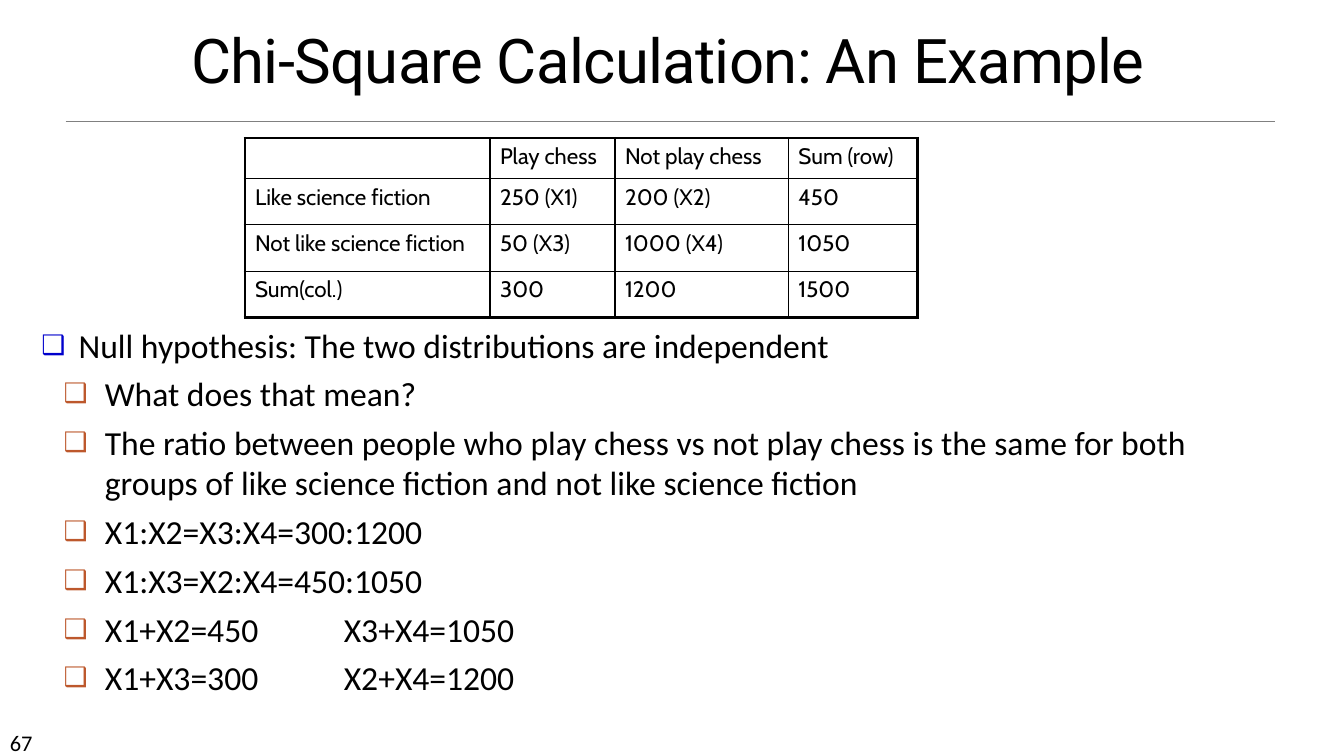
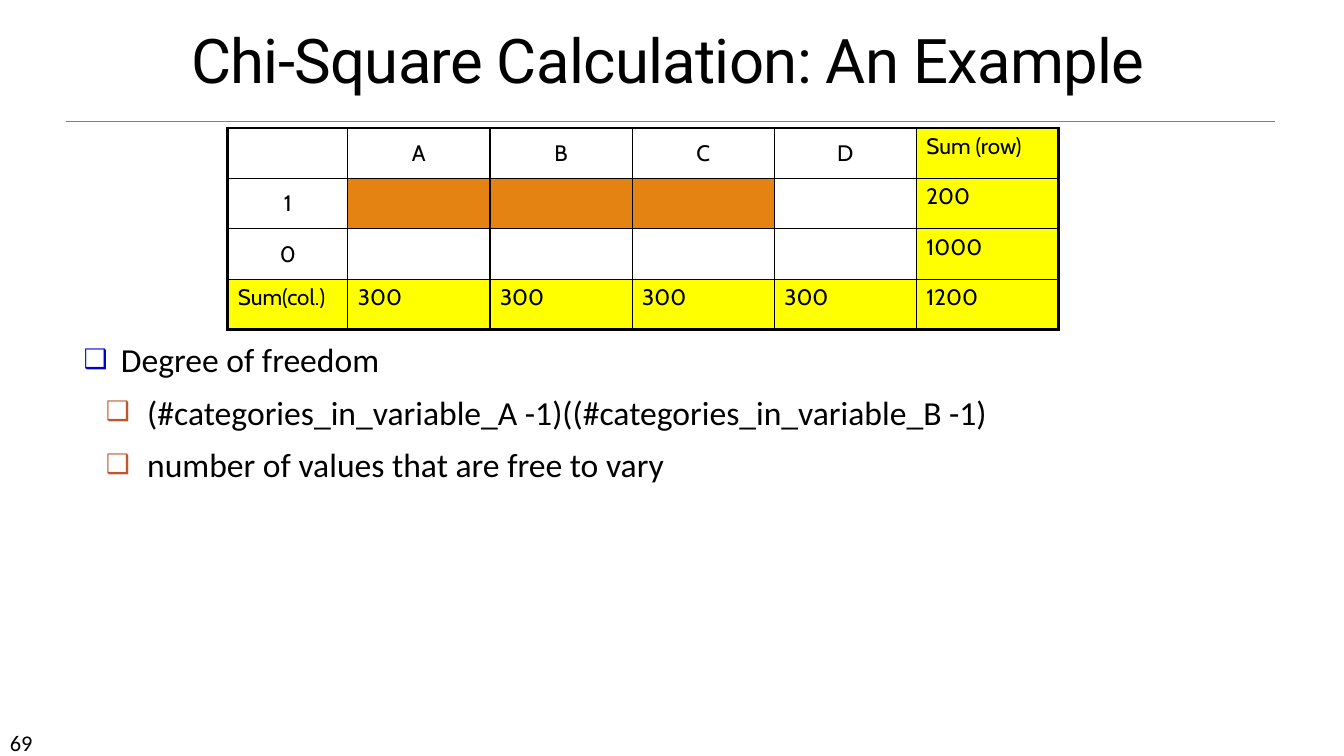
import pptx
import pptx.dml.color
import pptx.enum.shapes
import pptx.enum.text
import pptx.oxml.ns
import pptx.util
from dataclasses import dataclass
from lxml import etree

Inches, Pt = pptx.util.Inches, pptx.util.Pt
qn = pptx.oxml.ns.qn
Align, Anchor = pptx.enum.text.PP_ALIGN, pptx.enum.text.MSO_ANCHOR

# Content
TITLE = "Chi-Square Calculation: An Example"
SLIDES = [
    {
        "number": "67",
        "table_at": (2.43, 1.37),
        "columns": [2.43, 1.24, 1.72, 1.28],
        "rows": [0.38, 0.46, 0.46, 0.46],
        "cells": [
            ["", "Play chess", "Not play chess", "Sum (row)"],
            ["Like science fiction", "250 (X1)", "200 (X2)", "450"],
            ["Not like science fiction", "50 (X3)", "1000 (X4)", "1050"],
            ["Sum(col.)", "300", "1200", "1500"],
        ],
        "mark_sums": False,
        "free_cells": [],
        "points_at": (0.31, 3.17, 12.18, 3.69),
        "line_spacing": 1.0,
        "points": [
            (0, "Null hypothesis: The two distributions are independent"),
            (1, "What does that mean?"),
            (1, "The ratio between people who play chess vs not play chess is the same "
                "for both groups of like science fiction and not like science fiction"),
            (1, "X1:X2=X3:X4=300:1200"),
            (1, "X1:X3=X2:X4=450:1050"),
            (1, "X1+X2=450\tX3+X4=1050"),
            (1, "X1+X3=300\tX2+X4=1200"),
        ],
    },
    {
        "number": "69",
        "table_at": (2.26, 1.27),
        "columns": [1.19] + [1.41] * 5,
        "rows": [0.5] * 4,
        "cells": [
            ["", "A", "B", "C", "D", "Sum (row)"],
            ["1", "", "", "", "", "200"],
            ["0", "", "", "", "", "1000"],
            ["Sum(col.)", "300", "300", "300", "300", "1200"],
        ],
        "mark_sums": True,
        "free_cells": [(1, 1), (1, 2), (1, 3)],
        "points_at": (0.73, 3.27, 10.2, 3.51),
        "line_spacing": 1.1,
        "points": [
            (0, "Degree of freedom"),
            (1, "(#categories_in_variable_A -1)((#categories_in_variable_B -1)"),
            (1, "number of values that are free to vary"),
        ],
    },
]


# Theme
@dataclass(frozen=True)
class Theme:
    ink: str = "000000"
    paper: str = "FFFFFF"
    rule: str = "808080"
    sums: str = "FFFF00"
    free: str = "E48312"
    bullets: tuple = ("0000CC", "BD582C")
    indents: tuple = ((0.37, -0.37), (0.63, -0.41))
    title: tuple = ("Roboto", 44)
    body: tuple = ("Calibri", 24)
    number: tuple = ("Calibri", 16)
    cell: tuple = ("Cabin", 16)
    thin: float = 1
    thick: float = 2.25


THEME = Theme()


# Helpers
def rgb(value):
    return pptx.dml.color.RGBColor.from_string(value)


def apply(target, values):
    for name, value in values.items():
        setattr(target, name, value)


def place(shape, box):
    apply(shape, dict(zip(("left", "top", "width", "height"), map(Inches, box))))


def write(paragraph, text, style):
    run = paragraph.add_run()
    run.text = text
    face, size = style
    apply(run.font, {"name": face, "size": Pt(size), "bold": False})
    run.font.color.rgb = rgb(THEME.ink)
    return run


def add_xml(parent, tag, **attributes):
    return etree.SubElement(parent, qn(tag), attributes)


# Title, rule and page number shared by all slides
def add_frame(slide, number):
    title = slide.shapes.title
    place(title, (0.62, 0.33, 12.01, 0.67))
    apply(title.text_frame, {"vertical_anchor": Anchor.BOTTOM, "word_wrap": True,
                             "auto_size": pptx.enum.text.MSO_AUTO_SIZE.NONE})
    heading = title.text_frame.paragraphs[0]
    apply(heading, {"alignment": Align.CENTER, "line_spacing": 0.85})
    run = write(heading, TITLE, THEME.title)
    run._r.get_or_add_rPr().set("spc", "-50")

    rule = slide.shapes.add_connector(
        pptx.enum.shapes.MSO_CONNECTOR.STRAIGHT,
        Inches(0.65), Inches(1.2), Inches(12.65), Inches(1.2))
    rule.line.color.rgb = rgb(THEME.rule)
    rule.line.width = Pt(0.5)
    add_xml(rule.element.spPr, "a:effectLst")

    page = slide.shapes.add_textbox(*map(Inches, (0, 7.18, 1.17, 0.3)))
    page.text_frame.word_wrap = True
    write(page.text_frame.paragraphs[0], number, THEME.number)


# Bulleted points
def add_bullet(paragraph, level, tabbed):
    props = paragraph._p.get_or_add_pPr()
    margin, indent = THEME.indents[level]
    props.set("marL", str(Inches(margin)))
    props.set("indent", str(Inches(indent)))
    add_xml(add_xml(props, "a:buClr"), "a:srgbClr", val=THEME.bullets[level])
    add_xml(props, "a:buSzPct", val="80000")
    add_xml(props, "a:buChar", char="❑")
    if tabbed:
        add_xml(add_xml(props, "a:tabLst"), "a:tab", pos=str(Inches(3)), algn="l")


def add_points(slide, content):
    body = slide.placeholders[1]
    place(body, content["points_at"])
    frame = body.text_frame
    apply(frame, {"word_wrap": True, "vertical_anchor": Anchor.TOP,
                  "auto_size": pptx.enum.text.MSO_AUTO_SIZE.NONE})
    for index, (level, text) in enumerate(content["points"]):
        point = frame.add_paragraph() if index else frame.paragraphs[0]
        add_bullet(point, level, "\t" in text)
        apply(point, {"level": level, "line_spacing": content["line_spacing"],
                      "space_before": Pt(6 if index else 0)})
        write(point, text, THEME.body)


# Contingency table
def add_borders(cell, outer_sides):
    props = cell._tc.get_or_add_tcPr()
    for side, outer in zip("LRTB", outer_sides):
        width = Pt(THEME.thick if outer else THEME.thin)
        line = add_xml(props, f"a:ln{side}", w=str(width))
        add_xml(add_xml(line, "a:solidFill"), "a:srgbClr", val=THEME.ink)


def add_counts(slide, content):
    columns, rows = content["columns"], content["rows"]
    last_row, last_column = len(rows) - 1, len(columns) - 1
    box = (*content["table_at"], sum(columns), sum(rows))
    counts = slide.shapes.add_table(len(rows), len(columns), *map(Inches, box)).table
    apply(counts, {"first_row": False, "horz_banding": False})
    for column, width in zip(counts.columns, columns):
        column.width = Inches(width)
    for row, height in zip(counts.rows, rows):
        row.height = Inches(height)

    for r, texts in enumerate(content["cells"]):
        for c, text in enumerate(texts):
            cell = counts.cell(r, c)
            is_sum = r == last_row or c == last_column
            add_borders(cell, (c == 0, c == last_column, r == 0, r == last_row))
            fill = THEME.paper
            if (r, c) in content["free_cells"]:
                fill = THEME.free
            elif content["mark_sums"] and is_sum:
                fill = THEME.sums
            cell.fill.solid()
            cell.fill.fore_color.rgb = rgb(fill)
            label = cell.text_frame.paragraphs[0]
            if content["mark_sums"] and not is_sum:
                cell.vertical_anchor = Anchor.MIDDLE
                label.alignment = Align.CENTER
            if text:
                write(label, text, THEME.cell)


def main():
    deck = pptx.Presentation()
    apply(deck, {"slide_width": Inches(13.33), "slide_height": Inches(7.5)})
    for content in SLIDES:
        slide = deck.slides.add_slide(deck.slide_layouts[1])
        add_frame(slide, content["number"])
        add_points(slide, content)
        add_counts(slide, content)
    deck.save("out.pptx")


if __name__ == "__main__":
    main()
